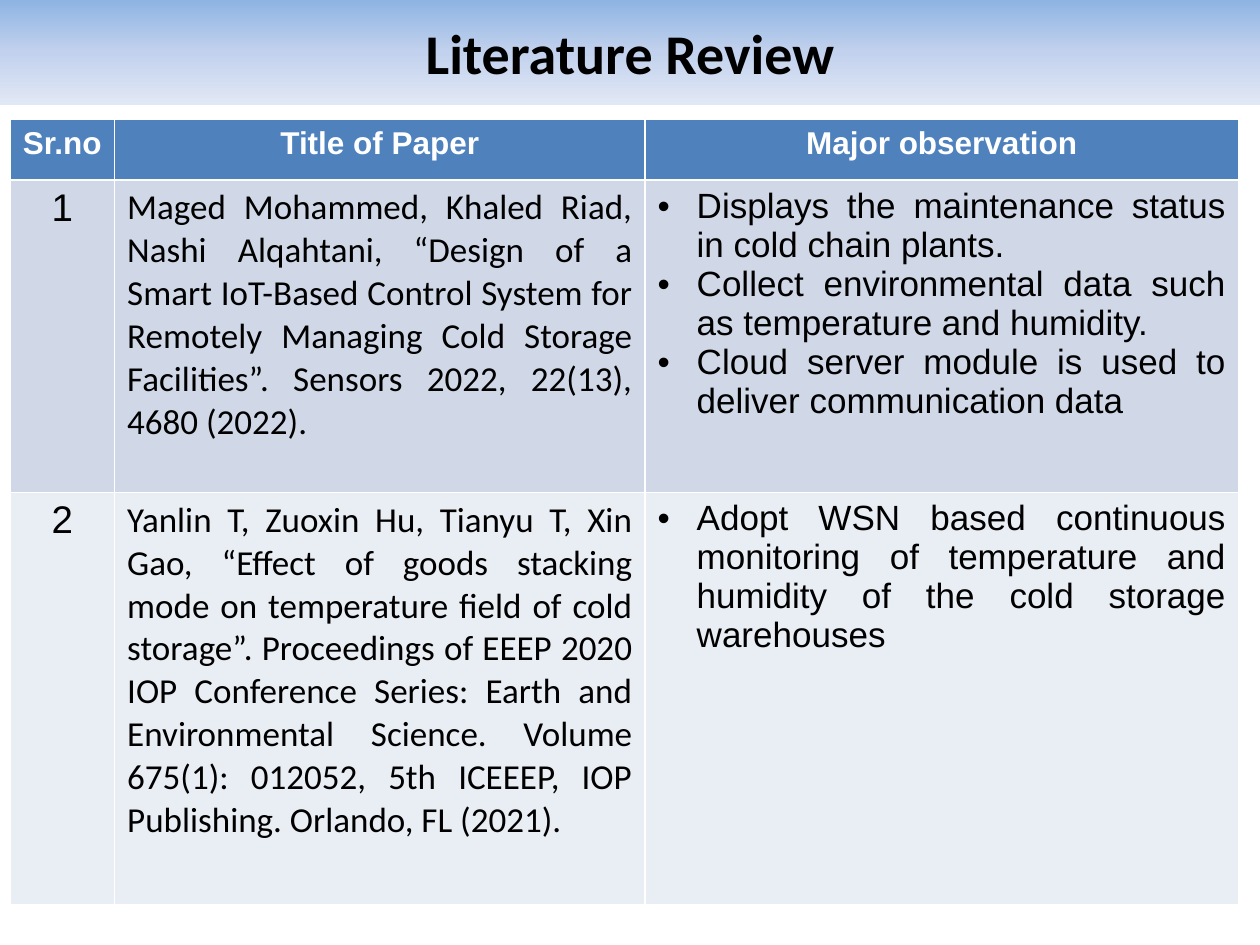
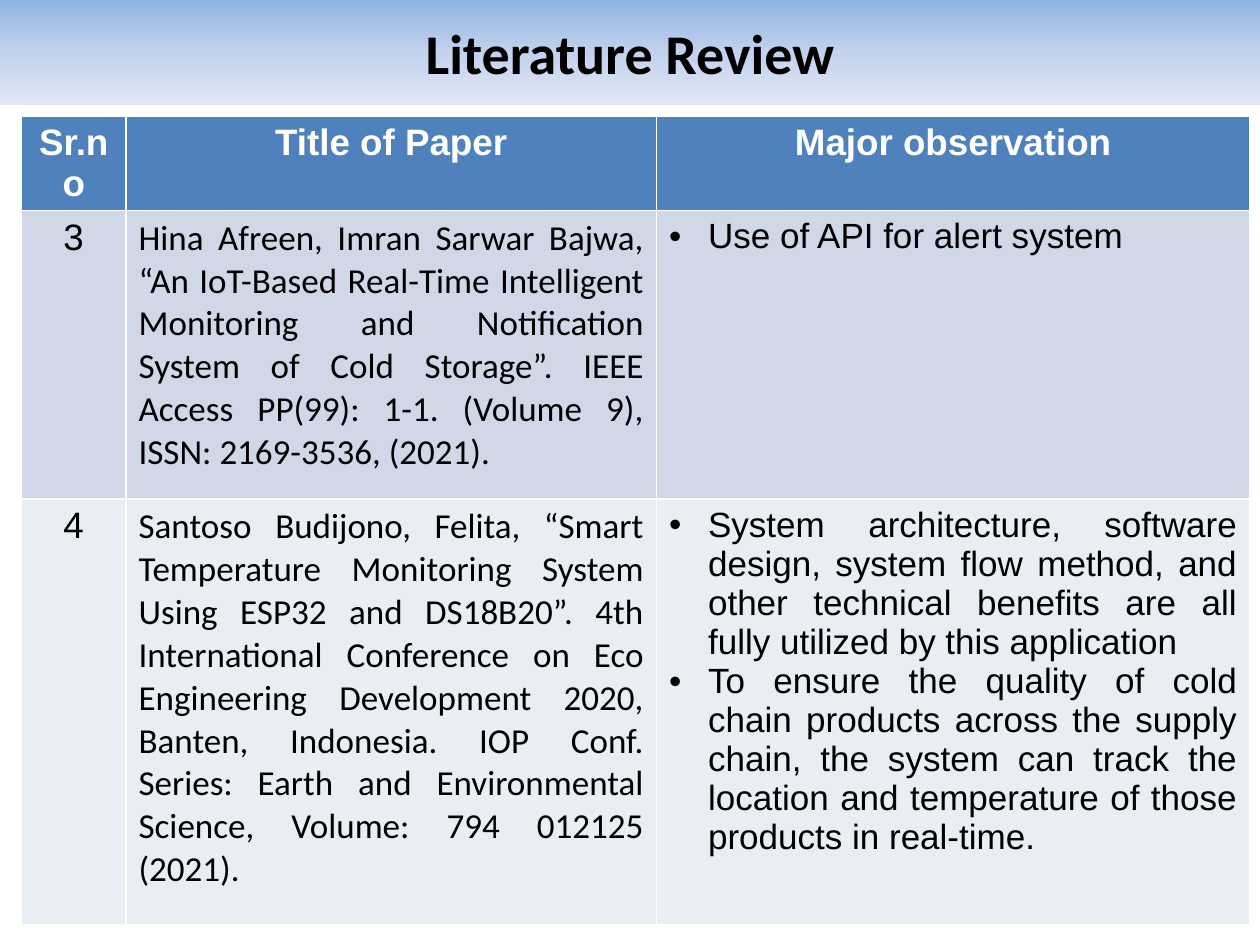
"""Build two literature review slides, each a title band above a table of papers."""
from copy import deepcopy

from pptx import Presentation
from pptx.dml.color import RGBColor
from pptx.enum.text import MSO_ANCHOR, PP_ALIGN as Align
from pptx.oxml.ns import qn
from pptx.util import Inches, Pt

TITLE = "Literature Review"
HEADERS = ("Sr.no", "Title of Paper", "Major observation")
REVIEWS = [
    {
        "corner": (0.08, 0.95), "row_heights": (0.48, 2.48, 3.27),
        "header_size": 18, "number_size": 22,
        "papers": [
            ("1",
             "Maged Mohammed, Khaled Riad, Nashi Alqahtani, “Design of a Smart IoT-Based "
             "Control System for Remotely Managing Cold Storage Facilities”. "
             "Sensors 2022, 22(13), 4680 (2022).",
             ["Displays the maintenance status in cold chain plants.",
              "Collect environmental data such as temperature and humidity.",
              "Cloud server module is used to deliver communication data"]),
            ("2",
             "Yanlin T, Zuoxin Hu, Tianyu T, Xin Gao, “Effect of goods stacking mode on "
             "temperature field of cold storage”. Proceedings of EEEP 2020 IOP Conference "
             "Series: Earth and Environmental Science. Volume 675(1): 012052, 5th ICEEEP, "
             "IOP Publishing. Orlando, FL (2021).",
             ["Adopt WSN based continuous monitoring of temperature and humidity of the "
              "cold storage warehouses"]),
        ],
    },
    {
        "corner": (0.17, 0.92), "row_heights": (0.49, 2.29, 3.38),
        "header_size": 21, "number_size": 21,
        "papers": [
            ("3",
             "Hina Afreen, Imran Sarwar Bajwa, “An IoT-Based Real-Time Intelligent "
             "Monitoring and Notification System of Cold Storage”. IEEE Access PP(99): 1-1. "
             "(Volume 9), ISSN: 2169-3536, (2021).",
             ["Use of API for alert system"]),
            ("4",
             "Santoso Budijono, Felita, “Smart Temperature Monitoring System Using ESP32 "
             "and DS18B20”. 4th International Conference on Eco Engineering Development "
             "2020, Banten, Indonesia. IOP Conf. Series: Earth and Environmental Science, "
             "Volume: 794 012125 (2021).",
             ["System architecture, software design, system flow method, and other "
              "technical benefits are all fully utilized by this application",
              "To ensure the quality of cold chain products across the supply chain, the "
              "system can track the location and temperature of those products in "
              "real-time."]),
        ],
    },
]

SLIDE_WIDTH, SLIDE_HEIGHT = Inches(10), Inches(7.5)
BAND_HEIGHT = Inches(0.83)
COLUMN_WIDTHS = (0.83, 4.21, 4.71)
BULLET_INDENT = Inches(0.31)
BODY_SIZE, TITLE_SIZE = 20, 32

BLACK = RGBColor(0x00, 0x00, 0x00)
WHITE = RGBColor(0xFF, 0xFF, 0xFF)
HEADER_BLUE = RGBColor(0x4F, 0x81, 0xBD)
ROW_FILLS = (RGBColor(0xD0, 0xD8, 0xE8), RGBColor(0xE9, 0xED, 0xF4))
BAND_STOPS = (
    (0, RGBColor(0x8E, 0xB4, 0xE3)),
    (0.5, RGBColor(0xC2, 0xD1, 0xED)),
    (1, RGBColor(0xE1, 0xE8, 0xF5)),
)


def style_paragraph(paragraph, size, name="Arial", color=BLACK, bold=False, align=Align.CENTER):
    paragraph.alignment = align
    font = paragraph.font
    font.size, font.name, font.bold = Pt(size), name, bold
    font.color.rgb = color


def add_bullet(paragraph):
    properties = paragraph._p.get_or_add_pPr()
    properties.set("marL", str(BULLET_INDENT))
    properties.set("indent", str(-BULLET_INDENT))
    for tag, key, value in (("a:buFont", "typeface", "Arial"), ("a:buChar", "char", "•")):
        properties.makeelement(qn(tag))
        element = properties.makeelement(qn(tag), {key: value})
        properties.append(element)


def fill_cell(cell, lines, fill, size, bulleted=False, **style):
    cell.fill.solid()
    cell.fill.fore_color.rgb = fill
    cell.text_frame.text = "\n".join(lines)
    for paragraph in cell.text_frame.paragraphs:
        if bulleted:
            add_bullet(paragraph)
        style_paragraph(paragraph, size, **style)


def add_title_band(slide):
    title = slide.shapes.title
    title.left, title.top, title.width, title.height = 0, 0, SLIDE_WIDTH, BAND_HEIGHT
    title.fill.gradient()
    title.fill.gradient_angle = 270
    stop_list = title._element.spPr.find(qn("a:gradFill")).find(qn("a:gsLst"))
    stop_list.append(deepcopy(stop_list[-1]))
    for stop, (position, color) in zip(title.fill.gradient_stops, BAND_STOPS):
        stop.position = position
        stop.color.rgb = color
    title.text_frame.text = TITLE
    title.text_frame.vertical_anchor = MSO_ANCHOR.MIDDLE
    style_paragraph(title.text_frame.paragraphs[0], TITLE_SIZE, name="Calibri", bold=True)


def add_paper_table(slide, review):
    heights = review["row_heights"]
    left, top = review["corner"]
    table = slide.shapes.add_table(
        len(heights), len(HEADERS), Inches(left), Inches(top),
        Inches(sum(COLUMN_WIDTHS)), Inches(sum(heights))).table
    for column, width in zip(table.columns, COLUMN_WIDTHS):
        column.width = Inches(width)
    for row, height in zip(table.rows, heights):
        row.height = Inches(height)
    for index, header in enumerate(HEADERS):
        fill_cell(table.cell(0, index), [header], HEADER_BLUE, review["header_size"],
                  color=WHITE, bold=True)
    for row, (paper, fill) in enumerate(zip(review["papers"], ROW_FILLS), start=1):
        number, citation, observations = paper
        fill_cell(table.cell(row, 0), [number], fill, review["number_size"])
        fill_cell(table.cell(row, 1), [citation], fill, BODY_SIZE,
                  name="Calibri", align=Align.JUSTIFY)
        fill_cell(table.cell(row, 2), observations, fill, BODY_SIZE,
                  bulleted=True, align=Align.JUSTIFY)


def main():
    presentation = Presentation()
    presentation.slide_width, presentation.slide_height = SLIDE_WIDTH, SLIDE_HEIGHT
    for review in REVIEWS:
        slide = presentation.slides.add_slide(presentation.slide_layouts[0])
        subtitle = slide.placeholders[1]._element
        subtitle.getparent().remove(subtitle)
        add_title_band(slide)
        add_paper_table(slide, review)
    presentation.save("out.pptx")


if __name__ == "__main__":
    main()
